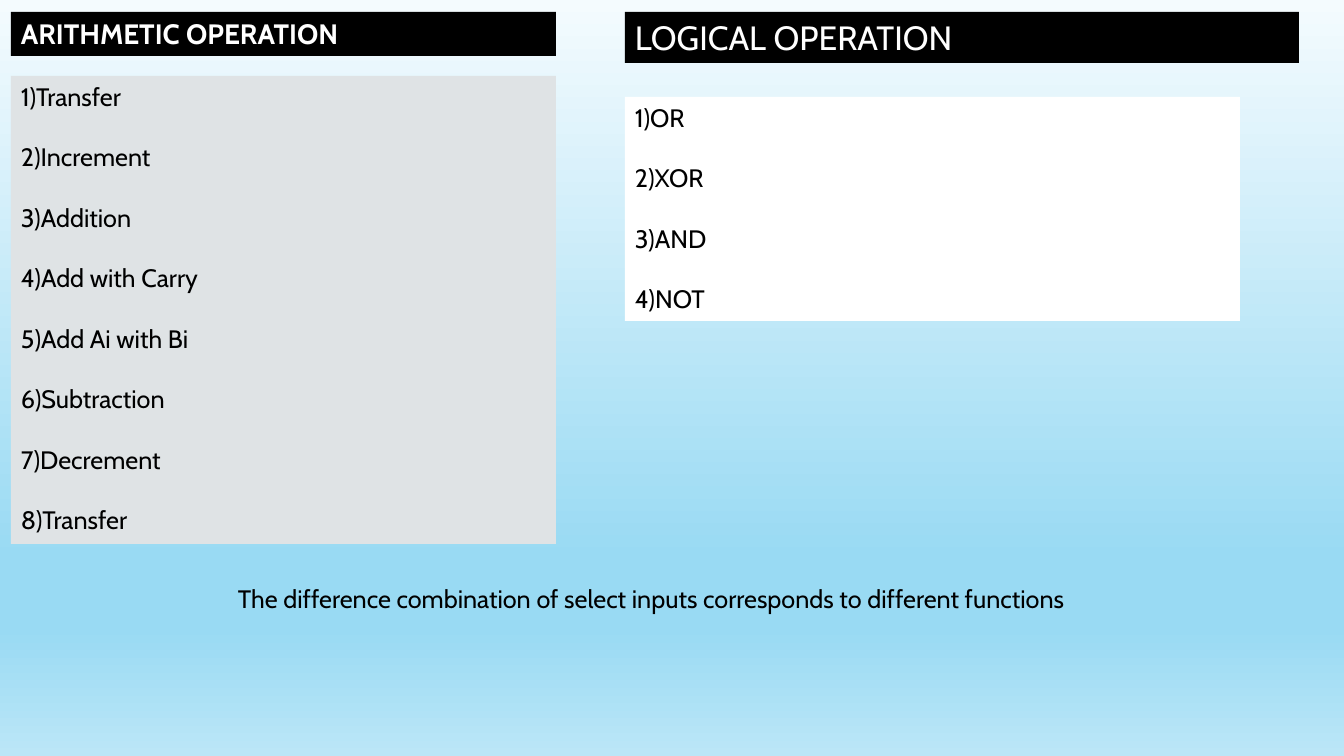
import copy

import pptx
import pptx.dml.color
import pptx.enum.shapes
import pptx.enum.text
import pptx.oxml.ns
import pptx.util

RGBColor = pptx.dml.color.RGBColor
BLACK = RGBColor(0x00, 0x00, 0x00)
WHITE = RGBColor(0xFF, 0xFF, 0xFF)
GREY = RGBColor(0xDF, 0xE3, 0xE5)
PALE_SKY = RGBColor(0xF4, 0xFB, 0xFE)
SKY = RGBColor(0x99, 0xDA, 0xF3)
LIGHT_SKY = RGBColor(0xBB, 0xE6, 0xF7)

SKY_STOPS = [(0, PALE_SKY), (0.74, SKY), (0.83, SKY), (1, LIGHT_SKY)]
FONT = "Cabin"
BODY_SIZE = 18
ITEM_GAP = 21.6

ARITHMETIC = ["Transfer", "Increment", "Addition", "Add with Carry",
              "Add Ai with Bi", "Subtraction", "Decrement", "Transfer"]
LOGICAL = ["OR", "XOR", "AND", "NOT"]


def px(length):
    return round(length * pptx.util.Inches(1) / 100.8)


def paint_background(page):
    fill = page.background.fill
    fill.gradient()
    fill.gradient_angle = 270
    stop_list = next(page.element.iter(pptx.oxml.ns.qn("a:gsLst")))
    while len(stop_list) < len(SKY_STOPS):
        stop_list.append(copy.deepcopy(stop_list[0]))
    for stop, (position, color) in zip(fill.gradient_stops, SKY_STOPS):
        stop.position = position
        stop.color.rgb = color


def write_lines(shape, lines, size, color, bold=False):
    frame = shape.text_frame
    frame.word_wrap = True
    frame.vertical_anchor = pptx.enum.text.MSO_ANCHOR.TOP
    frame.auto_size = pptx.enum.text.MSO_AUTO_SIZE.SHAPE_TO_FIT_TEXT
    frame.text = "\n".join(lines)
    for index, para in enumerate(frame.paragraphs):
        para.alignment = pptx.enum.text.PP_ALIGN.LEFT
        para.space_before = pptx.util.Pt(ITEM_GAP if index else 0)
        for span in para.runs:
            span.font.name = FONT
            span.font.size = pptx.util.Pt(size)
            span.font.bold = bold
            span.font.color.rgb = color


def add_panel(page, box, color):
    panel = page.shapes.add_shape(
        pptx.enum.shapes.MSO_SHAPE.RECTANGLE, *map(px, box))
    panel.shadow.inherit = False
    panel.fill.solid()
    panel.fill.fore_color.rgb = color
    panel.line.fill.background()
    return panel


def add_heading(page, box, title, size, bold):
    write_lines(add_panel(page, box, BLACK), [title], size, WHITE, bold)


def add_operations(page, box, operations, color):
    lines = [f"{number}){name}" for number, name in enumerate(operations, 1)]
    write_lines(add_panel(page, box, color), lines, BODY_SIZE, BLACK)


def add_caption(page, box, text):
    caption = page.shapes.add_textbox(*map(px, box))
    write_lines(caption, [text], BODY_SIZE, BLACK)


def main():
    deck = pptx.Presentation()
    deck.slide_width = px(1344)
    deck.slide_height = px(756)
    page = deck.slides.add_slide(deck.slide_layouts[6])
    paint_background(page)
    add_heading(page, (11, 12, 545, 44), "ARITHMETIC OPERATION", 20, True)
    add_operations(page, (11, 76, 545, 468), ARITHMETIC, GREY)
    add_heading(page, (625, 12, 674, 51), "LOGICAL OPERATION", 24, False)
    add_operations(page, (625, 97, 615, 224), LOGICAL, WHITE)
    add_caption(page, (228, 578, 1012, 40),
                "The difference combination of select inputs "
                "corresponds to different functions")
    deck.save("out.pptx")


if __name__ == "__main__":
    main()
